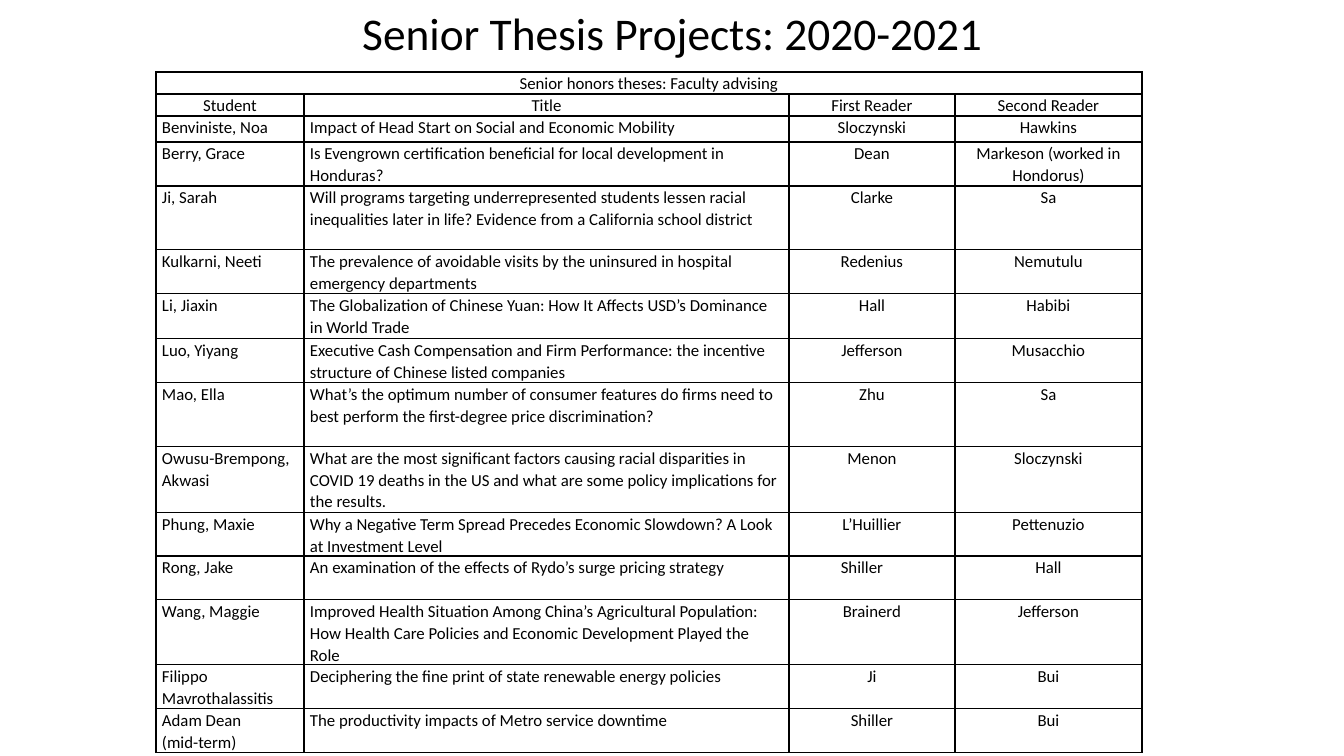
"""Build the slide that lists the senior thesis projects of 2020-2021."""
from lxml.etree import SubElement
from pptx import Presentation
from pptx.dml.color import RGBColor
from pptx.enum.text import MSO_ANCHOR, PP_ALIGN
from pptx.oxml.ns import qn
from pptx.util import Emu, Pt

HEADING = "Senior Thesis Projects: 2020-2021"
CAPTION = "Senior honors theses: Faculty advising"
COLUMNS = ("Student", "Title", "First Reader", "Second Reader")
THESES = [
    ("Benviniste, Noa", "Impact of Head Start on Social and Economic Mobility", "Sloczynski", "Hawkins"),
    ("Berry, Grace", "Is Evengrown certification beneficial for local development in Honduras?",
     "Dean", "Markeson (worked in Hondorus)"),
    ("Ji, Sarah", "Will programs targeting underrepresented students lessen racial inequalities "
     "later in life? Evidence from a California school district", "Clarke", "Sa"),
    ("Kulkarni, Neeti", "The prevalence of avoidable visits by the uninsured in hospital "
     "emergency departments", "Redenius", "Nemutulu"),
    ("Li, Jiaxin", "The Globalization of Chinese Yuan: How It Affects USD’s Dominance in World Trade",
     "Hall", "Habibi"),
    ("Luo, Yiyang", "Executive Cash Compensation and Firm Performance: the incentive structure "
     "of Chinese listed companies", "Jefferson", "Musacchio"),
    ("Mao, Ella", "What’s the optimum number of consumer features do firms need to best perform "
     "the first-degree price discrimination?", "Zhu", "Sa"),
    ("Owusu-Brempong, Akwasi", "What are the most significant factors causing racial disparities in "
     "COVID 19 deaths in the US and what are some policy implications for the results.",
     "Menon", "Sloczynski"),
    ("Phung, Maxie", "Why a Negative Term Spread Precedes Economic Slowdown? A Look at Investment Level",
     "L’Huillier", "Pettenuzio"),
    ("Rong, Jake", "An examination of the effects of Rydo’s surge pricing strategy", "Shiller", "Hall"),
    ("Wang, Maggie", "Improved Health Situation Among China’s Agricultural Population: How Health "
     "Care Policies and Economic Development Played the Role", "Brainerd", "Jefferson"),
    ("Filippo Mavrothalassitis", "Deciphering the fine print of state renewable energy policies",
     "Ji", "Bui"),
    ("Adam Dean\n(mid-term)", "The productivity impacts of Metro service downtime", "Shiller", "Bui"),
]
ROWS = [(CAPTION, "", "", ""), COLUMNS, *THESES]
COLORS = {"ink": "000000"}
FONT = "Calibri"
SLIDE_SIZE = (1344, 756)
HEADING_PLACE = (93, 15, 1159, 41)
TABLE_CORNER = (156, 72)
COLUMN_WIDTHS = (148, 485, 166, 187)
ROW_HEIGHTS = (22, 22, 26, 44, 64, 44, 45, 44, 64, 66, 43, 44, 65, 44, 44)
HEADER_ROWS = 2
LEFT_COLUMNS = 2
CELL_INSET = 6
SHIFTED_INSETS = {("Rong, Jake", 2): 26}


def px(length):
    """Turn pixels into EMU."""
    return Emu(round(length * 914400 / 100.8))


def apply(target, formats):
    """Set each attribute of the target."""
    for name, value in formats.items():
        setattr(target, name, value)


def write(frame, text, size, align, spacing):
    """Fill a text frame, one paragraph to a line."""
    frame.text = text
    for para in frame.paragraphs:
        apply(para, {"alignment": align, "line_spacing": spacing})
        for span in para.runs:
            apply(span.font, {"name": FONT, "size": Pt(size)})
            span.font.color.rgb = RGBColor.from_string(COLORS["ink"])


def outline(cell):
    """Draw the four borders of a cell."""
    properties = cell._tc.get_or_add_tcPr()
    for position, side in enumerate(("lnL", "lnR", "lnT", "lnB")):
        line = SubElement(properties, qn(f"a:{side}"), w=str(Pt(1)))
        fill = SubElement(line, qn("a:solidFill"))
        SubElement(fill, qn("a:srgbClr"), val=COLORS["ink"])
        properties.insert(position, line)


def add_heading(slide):
    """Add the heading above the table."""
    box = slide.shapes.add_textbox(*map(px, HEADING_PLACE))
    apply(box.text_frame, {"word_wrap": True, "vertical_anchor": MSO_ANCHOR.MIDDLE,
                           "margin_top": 0, "margin_bottom": 0})
    write(box.text_frame, HEADING, 32.4, PP_ALIGN.CENTER, 0.9)


def add_theses(slide):
    """Add the table of theses and readers."""
    size = (sum(COLUMN_WIDTHS), sum(ROW_HEIGHTS))
    table = slide.shapes.add_table(len(ROWS), len(COLUMNS), *map(px, TABLE_CORNER + size)).table
    apply(table, {"first_row": False, "horz_banding": False})
    for column, width in zip(table.columns, COLUMN_WIDTHS):
        column.width = px(width)
    for row, height in zip(table.rows, ROW_HEIGHTS):
        row.height = px(height)
    table.cell(0, 0).merge(table.cell(0, len(COLUMNS) - 1))
    for row_index, texts in enumerate(ROWS):
        for column_index, text in enumerate(texts):
            cell = table.cell(row_index, column_index)
            right = SHIFTED_INSETS.get((texts[0], column_index), CELL_INSET)
            apply(cell, {"margin_left": px(CELL_INSET), "margin_right": px(right),
                         "margin_top": 0, "margin_bottom": 0})
            cell.fill.background()
            outline(cell)
            centred = row_index < HEADER_ROWS or column_index >= LEFT_COLUMNS
            align = PP_ALIGN.CENTER if centred else PP_ALIGN.LEFT
            if text:
                write(cell.text_frame, text, 12, align, 1.07)


deck = Presentation()
apply(deck, dict(zip(("slide_width", "slide_height"), map(px, SLIDE_SIZE))))
page = deck.slides.add_slide(deck.slide_layouts[6])
add_heading(page)
add_theses(page)
deck.save("out.pptx")
